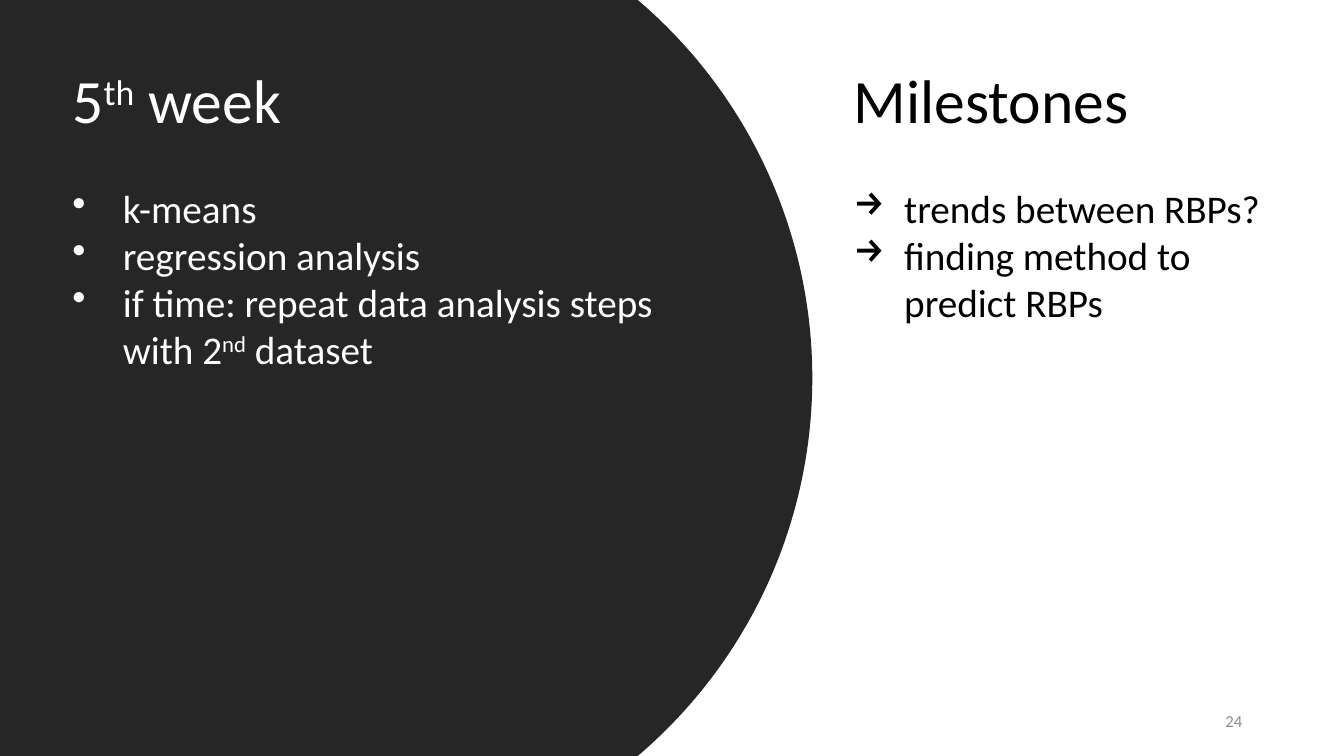
"""Build the slide for the fifth week and its milestones."""
from lxml.etree import SubElement as Sub
from pptx import Presentation as Deck
from pptx.dml.color import RGBColor as Color
from pptx.enum.shapes import MSO_SHAPE as Shape
from pptx.enum.text import MSO_ANCHOR as Anchor, MSO_AUTO_SIZE as Fit, PP_ALIGN as Align
from pptx.oxml.ns import qn
from pptx.util import Inches, Pt


def tint(code):
    """Turn a hex string into a colour."""
    return Color.from_string(code)


class Page:
    """Hold the style and the current slide."""

    face = "Calibri"
    dark, light, black, grey = "262626", "FFFFFF", "000000", "8C8C8C"
    head, body, small = 44, 28, 12
    indent, gap = 0.5, 34.2

    def __init__(self, deck):
        """Add a blank slide to the deck."""
        self.slide = deck.slides.add_slide(deck.slide_layouts[6])
        fill = self.slide.background.fill
        fill.solid()
        fill.fore_color.rgb = tint(self.light)

    def disc(self, left, top, size):
        """Draw the dark circle."""
        disc = self.slide.shapes.add_shape(
            Shape.OVAL, Inches(left), Inches(top), Inches(size), Inches(size))
        disc.shadow.inherit = False
        disc.fill.solid()
        disc.fill.fore_color.rgb = tint(self.dark)
        disc.line.color.rgb = tint(self.dark)
        disc.line.width = Pt(1)

    def box(self, left, top, width, height):
        """Add a wrapping text box and return its frame."""
        box = self.slide.shapes.add_textbox(
            Inches(left), Inches(top), Inches(width), Inches(height))
        box.text_frame.word_wrap = True
        return box.text_frame

    def label(self, para, text, size, color):
        """Fill a paragraph, raising each part set between carets."""
        first, *rest = text.split("^")
        para.text = first
        for part in rest:
            para.add_run().text = part
        for spot, run in enumerate(para.runs):
            font = run.font
            font.name, font.size = self.face, Pt(size)
            font.color.rgb = tint(color)
            if spot % 2:
                run._r.get_or_add_rPr().set("baseline", "30000")

    def bullet(self, para, mark):
        """Give a paragraph a hanging bullet."""
        props = para._p.get_or_add_pPr()
        props.set("marL", str(Inches(self.indent)))
        props.set("indent", str(-Inches(self.indent)))
        Sub(props, qn("a:buChar")).set("char", mark)

    def column(self, place, title, items, mark, color):
        """Add a heading with its list below."""
        frame = self.box(*place)
        frame.auto_size = Fit.SHAPE_TO_FIT_TEXT
        self.label(frame.paragraphs[0], title, self.head, color)
        for row, item in enumerate(items):
            para = frame.add_paragraph()
            self.bullet(para, mark)
            if row == 0:
                para.space_before = Pt(self.gap)
            self.label(para, item, self.body, color)

    def number(self, place, text):
        """Add the page number."""
        frame = self.box(*place)
        frame.vertical_anchor = Anchor.MIDDLE
        para = frame.paragraphs[0]
        para.alignment = Align.RIGHT
        self.label(para, text, self.small, self.grey)


def main():
    """Build and save the deck."""
    deck = Deck()
    deck.slide_width, deck.slide_height = Inches(13.33), Inches(7.5)
    page = Page(deck)
    page.number((9.42, 6.95, 3, 0.4), "24")
    page.disc(-1.79, -1.17, 9.84)
    tasks = ["k-means", "regression analysis",
             "if time: repeat data analysis steps with 2^nd^ dataset"]
    goals = ["trends between RBPs?", "finding method to predict RBPs"]
    page.column((0.62, 0.57, 6.22, 4.14), "5^th^ week", tasks, "•", page.light)
    page.column((8.37, 0.57, 4.36, 2.73), "Milestones", goals, "→", page.black)
    deck.save("out.pptx")


if __name__ == "__main__":
    main()
